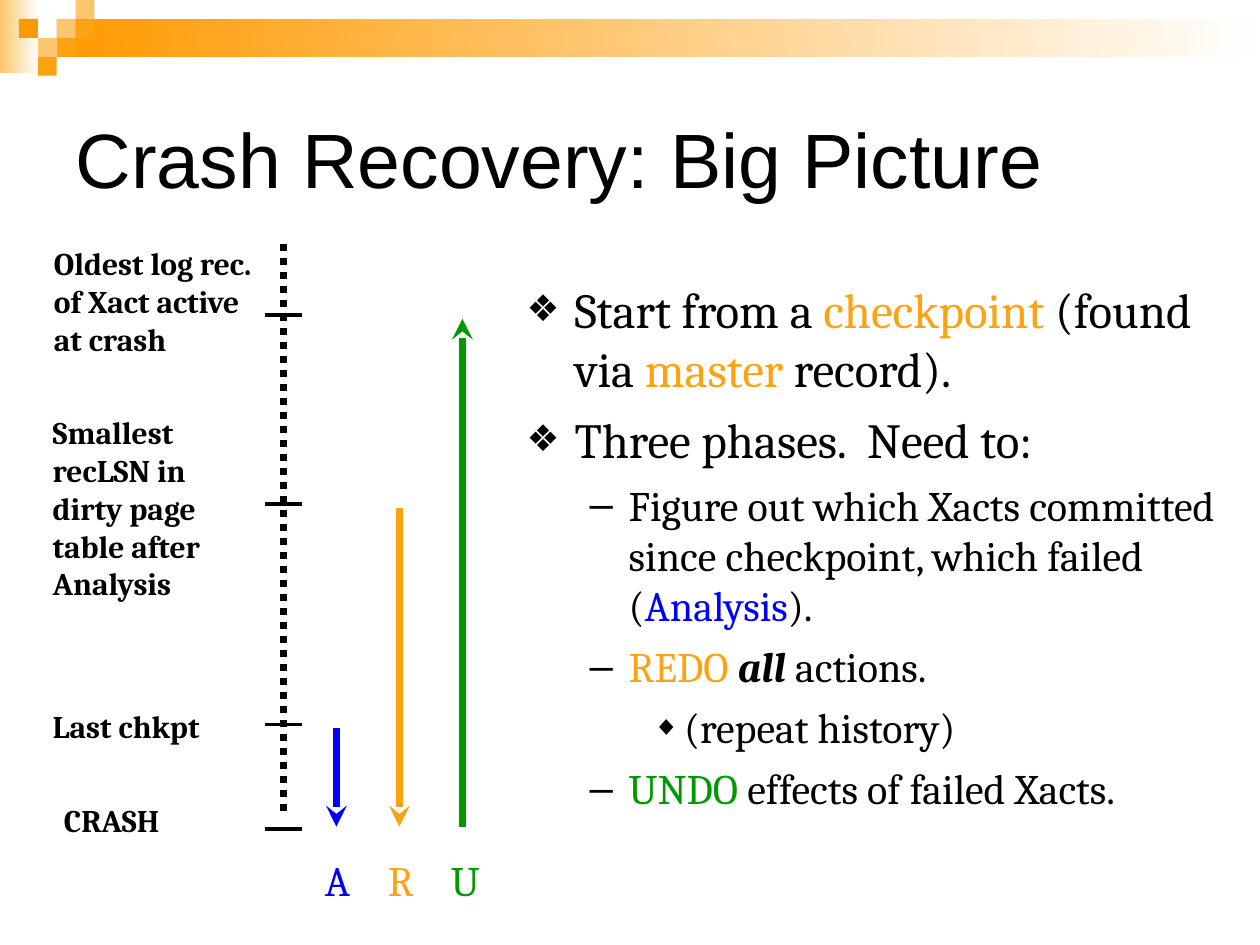
from dataclasses import dataclass

from lxml.etree import SubElement
from pptx import Presentation
from pptx.dml.color import RGBColor
from pptx.enum.dml import MSO_LINE_DASH_STYLE as Dash
from pptx.enum.shapes import MSO_CONNECTOR as Conn, MSO_SHAPE as Shape
from pptx.enum.text import MSO_ANCHOR as Anchor, MSO_AUTO_SIZE as AutoSize, PP_ALIGN as Align
from pptx.oxml.ns import qn
from pptx.util import Inches, Pt


@dataclass(frozen=True)
class Theme:
    black: str = "000000"
    white: str = "FFFFFF"
    orange: str = "FBA313"
    deep_orange: str = "FF9900"
    pale_orange: str = "FCC66E"
    blue: str = "0000FF"
    green: str = "009900"
    heading: str = "Arial"
    text: str = "Cambria"
    title_size: int = 44
    body_size: int = 28
    sub_size: int = 24
    label_size: int = 18


T = Theme()

# Per level: bullet, size in % of text, left margin, hanging indent, space before, text size
LEVELS = [
    ("❖", 75, 0.38, 0.38, 7, T.body_size),
    ("–", 100, 0.81, 0.31, 6, T.sub_size),
    ("◆", 65, 1.25, 0.25, 6, T.sub_size),
]

BODY = [
    (0, [("Start from a ", {}), ("checkpoint", {"color": T.orange}), (" (found via ", {}),
         ("master", {"color": T.orange}), (" record).", {})]),
    (0, [("Three phases.  Need to:", {})]),
    (1, [("Figure out which Xacts committed since checkpoint, which failed (", {}),
         ("Analysis", {"color": T.blue}), (").", {})]),
    (1, [("REDO ", {"color": T.orange}), ("all", {"bold": True, "italic": True}),
         (" actions.", {})]),
    (2, [("(repeat history)", {})]),
    (1, [("UNDO", {"color": T.green}), (" effects of failed Xacts.", {})]),
]

LOG_X = 2.25
CRASH_Y = 6.58
TICKS = [2.5, 4, 5.75, CRASH_Y]
LABELS = [
    ("Oldest log rec. of Xact active at crash", 0.33, 1.89, 1.3),
    ("Smallest recLSN in dirty page table after Analysis", 0.32, 3.23, 1.6),
    ("Last chkpt", 0.32, 5.56, 0.4),
    ("CRASH", 0.41, 6.31, 0.4),
]
# Phase letter, colour, tick where it reaches furthest back, end that has the arrowhead
PHASES = [
    ("A", T.blue, TICKS[2], "tailEnd"),
    ("R", T.orange, TICKS[1], "tailEnd"),
    ("U", T.green, TICKS[0], "headEnd"),
]

CELL = 0.15
CELLS = [
    (3, 1, T.pale_orange), (4, 0, T.pale_orange), (4, 1, T.orange), (2, 2, T.pale_orange),
    (1, 1, T.deep_orange), (3, 2, T.orange), (2, 3, T.orange),
]


def rgb(value):
    return RGBColor.from_string(value)


def place(sp, *box):
    for name, value in zip(("left", "top", "width", "height"), box):
        setattr(sp, name, Inches(value))


def add_run(p, text, size, color=T.black, name=T.text, **style):
    r = p.add_run()
    r.text = text
    r.font.color.rgb = rgb(color)
    for key, value in {"size": Pt(size), "name": name, **style}.items():
        setattr(r.font, key, value)


def add_rect(s, box, color, fade=False):
    """Plain rectangle; with fade, the colour runs out to white on the right."""
    sp = s.shapes.add_shape(Shape.RECTANGLE, *map(Inches, box))
    sp.shadow.inherit = False
    sp.line.fill.background()
    if fade:
        sp.fill.gradient()
        sp.fill.gradient_angle = 180
        for stop, value in zip(sp.fill.gradient_stops, (T.white, color)):
            stop.color.rgb = rgb(value)
    else:
        sp.fill.solid()
        sp.fill.fore_color.rgb = rgb(color)


def add_line(s, start, end, width, color=T.black, dash=None, arrow=None):
    line = s.shapes.add_connector(Conn.STRAIGHT, *map(Inches, start + end))
    line.line.color.rgb = rgb(color)
    line.line.width = Pt(width)
    if dash:
        line.line.dash_style = dash
    if arrow:
        SubElement(line.line._get_or_add_ln(), qn("a:" + arrow), type="stealth")
    SubElement(line._element.spPr, qn("a:effectLst"))


def add_label(s, text, box, wrap=True, **style):
    tf = s.shapes.add_textbox(*map(Inches, box)).text_frame
    tf.word_wrap = wrap
    tf.auto_size = AutoSize.SHAPE_TO_FIT_TEXT
    add_run(tf.paragraphs[0], text, **style)


def add_bullet(p, char, percent, margin, hang):
    pPr = p._p.get_or_add_pPr()
    pPr.set("marL", str(Inches(margin)))
    pPr.set("indent", str(-Inches(hang)))
    SubElement(SubElement(pPr, qn("a:buClr")), qn("a:srgbClr"), val=T.black)
    SubElement(pPr, qn("a:buSzPct"), val=str(percent * 1000))
    SubElement(pPr, qn("a:buChar"), char=char)


def add_banner(s):
    add_rect(s, (0, 0, 0.31, 0.58), T.pale_orange, fade=True)
    add_rect(s, (0.45, 0.15, 9.55, 0.3), T.deep_orange, fade=True)
    for col, row, color in CELLS:
        add_rect(s, (col * CELL, row * CELL, CELL, CELL), color)


def fill_title(sp):
    place(sp, 0.5, 0.5, 9, 1.5)
    tf = sp.text_frame
    tf.vertical_anchor = Anchor.MIDDLE
    tf.auto_size = AutoSize.NONE
    p = tf.paragraphs[0]
    p.alignment = Align.LEFT
    add_run(p, "Crash Recovery: Big Picture", T.title_size, name=T.heading)


def fill_body(sp):
    place(sp, 4.08, 2.17, 5.92, 4.46)
    tf = sp.text_frame
    tf.auto_size = AutoSize.NONE
    for i, (level, runs) in enumerate(BODY):
        p = tf.add_paragraph() if i else tf.paragraphs[0]
        *bullet, before, size = LEVELS[level]
        p.level = level
        add_bullet(p, *bullet)
        p.space_before = Pt(before if i else 0)
        for text, style in runs:
            add_run(p, text, size, **style)


def add_log(s):
    """Dotted log line with its ticks and labels."""
    add_line(s, (LOG_X, 1.94), (LOG_X, 6.47), 4, dash=Dash.ROUND_DOT)
    for y in TICKS:
        add_line(s, (LOG_X - 0.15, y), (LOG_X + 0.15, y), 2)
    for text, left, top, height in LABELS:
        add_label(s, text, (left, top, 1.84, height), size=T.label_size, bold=True)


def add_phases(s):
    for i, (letter, color, tick, arrow) in enumerate(PHASES):
        x = 2.67 + i * 0.5
        add_line(s, (x, tick + 0.03), (x, CRASH_Y - 0.02), 4, color, arrow=arrow)
        add_label(s, letter, (x - 0.19, 6.73, 0.43, 0.5), wrap=False,
                  size=T.sub_size, color=color)


def main():
    prs = Presentation()
    prs.slide_width, prs.slide_height = Inches(10), Inches(7.5)
    s = prs.slides.add_slide(prs.slide_layouts[1])
    add_banner(s)
    fill_title(s.shapes.title)
    fill_body(s.placeholders[1])
    add_log(s)
    add_phases(s)
    prs.save("out.pptx")


if __name__ == "__main__":
    main()
